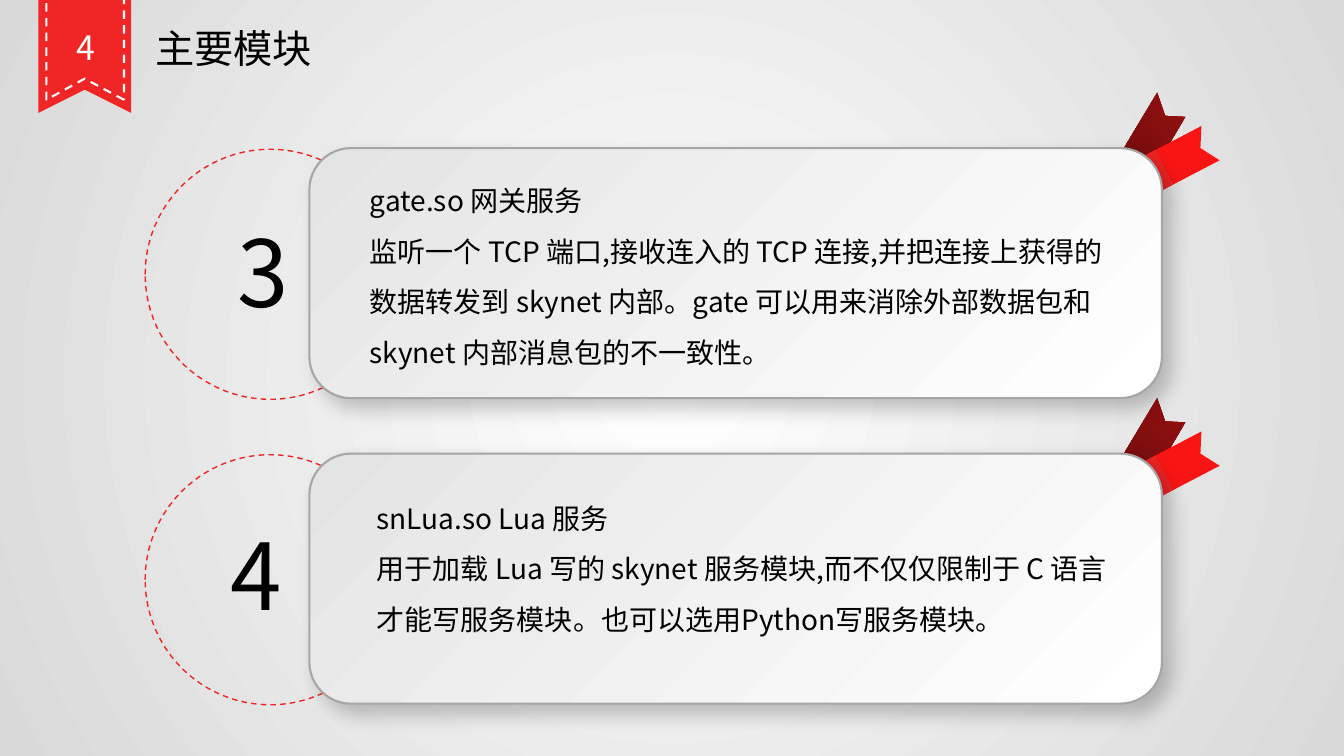
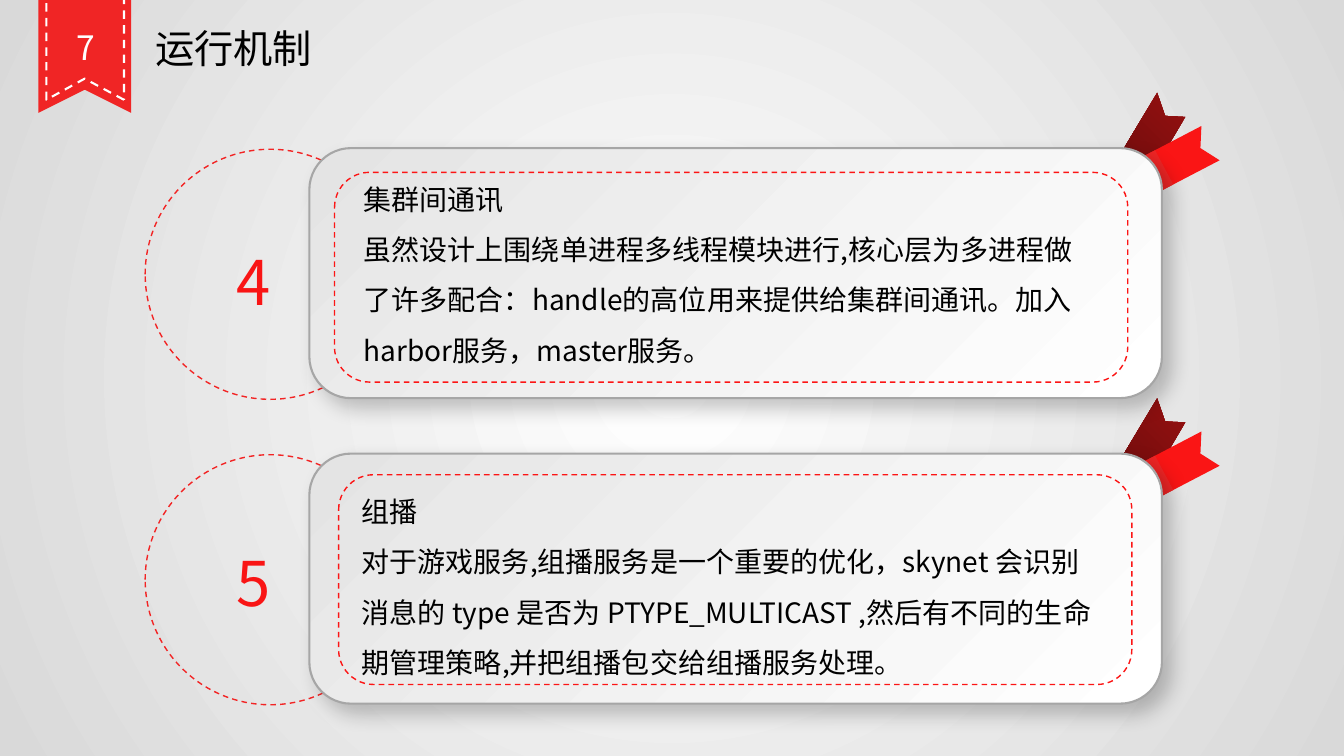
from dataclasses import dataclass

from lxml.etree import SubElement
from pptx import Presentation
from pptx.dml.color import RGBColor
from pptx.enum.dml import MSO_LINE
from pptx.enum.shapes import MSO_SHAPE
from pptx.enum.text import MSO_AUTO_SIZE, PP_ALIGN
from pptx.oxml import parse_xml
from pptx.oxml.ns import nsdecls, qn
from pptx.util import Pt


@dataclass(frozen=True)
class Theme:
    black: str = "000000"
    white: str = "FFFFFF"
    ribbon: str = "F02525"
    ribbon_front: str = "FA1515"
    ring: str = "F22424"
    frame: str = "FC1515"
    accent: str = "F91515"
    card_edge: str = "A6A6A6"
    page_stops: tuple = ((0, "FFFFFF"), (100, "D9D9D9"))
    card_stops: tuple = ((0, "E4E4E4"), (100, "FFFFFF"))
    ribbon_back_stops: tuple = ((0, "590A0A"), (50, "7E0E0E"), (100, "961010"))
    font: str = "Noto Sans CJK SC"
    display_font: str = "Noto Sans CJK JP"
    badge_size: int = 24
    title_size: int = 28
    body_size: int = 20


theme = Theme()

# Geometry shared by the cards, in points
ROW_PITCH = 218.2
CARD = (221, 105.8, 609, 178.6)
RING = (103.7, 106.6, 178.6, 178.6)
FRAME_SIZE = (566.6, 149.8)
BODY_WIDTH = 540.7

BOOKMARK = [(93.6, 80.6), (60.5, 64.1), (27.4, 80.6), (27.4, -171.4), (93.6, -171.4)]
STITCHING = [(88.6, 71.3), (60.5, 56.2), (33.1, 71.3), (33.1, -164.2), (88.6, -164.2)]
RIBBON_BACK = [(826.6, 66.2), (806.4, 100), (792, 124.6), (805, 149),
               (826.6, 117.4), (846.7, 83.5), (832.3, 82.8)]
RIBBON_FRONT = [(871.2, 114.5), (805, 149), (792, 124.6), (858.2, 90), (857.5, 105.8)]
RIBBON_FOLD = [(838.1, 131.8), (805, 149), (792, 124.6), (825.1, 107.3)]

CORNER_SHADE = (f'<a:path {nsdecls("a")} path="circle">'
                '<a:fillToRect t="100000" r="100000"/></a:path>')
CENTER_SHADE = (f'<a:path {nsdecls("a")} path="circle">'
                '<a:fillToRect l="50000" t="50000" r="50000" b="50000"/></a:path>')
DIAGONAL_SHADE = f'<a:lin {nsdecls("a")} ang="2700000" scaled="0"/>'
CARD_SHADOW = (f'<a:outerShdw {nsdecls("a")} blurRad="{Pt(14)}" dist="{Pt(9)}" '
               'dir="2700000" algn="tl" rotWithShape="0"><a:srgbClr val="000000">'
               '<a:alpha val="22000"/></a:srgbClr></a:outerShdw>')

SLIDES = [
    dict(badge="4", title="主要模块", number_size=66, number_color=theme.black, cards=[
        dict(number="3", number_box=(162.7, 149.8, 47.5, 86.4), body_at=(257, 115.9),
             text=["gate.so 网关服务",
                   "监听一个 TCP 端口,接收连入的 TCP 连接,并把连接上获得的数据转发到 skynet 内部。"
                   "gate 可以用来消除外部数据包和 skynet 内部消息包的不一致性。"]),
        dict(number="4", number_box=(157.7, 366.5, 51.1, 86.4), body_at=(262, 342.7),
             text=["snLua.so Lua 服务",
                   "用于加载 Lua 写的 skynet 服务模块,而不仅仅限制于 C 语言才能写服务模块。"
                   "也可以选用Python写服务模块。"]),
    ]),
    dict(badge="7", title="运行机制", number_size=44, number_color=theme.accent, cards=[
        dict(number="4", number_box=(162, 170.6, 42.5, 59.8), body_at=(252.7, 114.5),
             frame_at=(239, 123.1),
             text=["集群间通讯",
                   "虽然设计上围绕单进程多线程模块进行,核心层为多进程做了许多配合："
                   "handle的高位用来提供给集群间通讯。加入harbor服务，master服务。"]),
        dict(number="5", number_box=(162, 385.9, 42.5, 59.8), body_at=(251.3, 337.7),
             frame_at=(241.9, 339.1),
             text=["组播",
                   "对于游戏服务,组播服务是一个重要的优化，skynet 会识别消息的 type 是否为 "
                   "PTYPE_MULTICAST ,然后有不同的生命期管理策略,并把组播包交给组播服务处理。"]),
    ]),
]


def paint(shape, fill=None, shade=None, line=None, width=1, dashed=True):
    """Fill with a colour or, when a shade is given, with gradient stops."""
    if shade:
        shape.fill.gradient()
        gradient = shape.element.find(".//" + qn("a:gradFill")) if hasattr(shape, "element") \
            else deck.slide_master.element.find(".//" + qn("a:gradFill"))
        for child in list(gradient):
            gradient.remove(child)
        stops = SubElement(gradient, qn("a:gsLst"))
        for position, color in fill:
            stop = SubElement(stops, qn("a:gs"), pos=str(position * 1000))
            SubElement(stop, qn("a:srgbClr"), val=color)
        gradient.append(parse_xml(shade))
    elif fill:
        shape.fill.solid()
        shape.fill.fore_color.rgb = RGBColor.from_string(fill)
    else:
        shape.fill.background()
    if hasattr(shape, "shadow"):
        shape.shadow.inherit = False
        if line:
            shape.line.color.rgb = RGBColor.from_string(line)
            shape.line.width = Pt(width)
            if dashed:
                shape.line.dash_style = MSO_LINE.DASH
        else:
            shape.line.fill.background()


def add_text(slide, bounds, lines, size, color, font, align=PP_ALIGN.LEFT, spacing=1.0):
    box = slide.shapes.add_textbox(*map(Pt, bounds))
    frame = box.text_frame
    frame.word_wrap = True
    frame.auto_size = MSO_AUTO_SIZE.SHAPE_TO_FIT_TEXT
    frame.text = "\n".join(lines)
    for para in frame.paragraphs:
        para.alignment = align
        para.line_spacing = spacing
        for span in para.runs:
            span.font.size = Pt(size)
            span.font.color.rgb = RGBColor.from_string(color)
            span.font.name = font
            SubElement(span.font._element, qn("a:ea"), typeface=font)


deck = Presentation()
deck.slide_width, deck.slide_height = Pt(960), Pt(540)
paint(deck.slide_master.background, theme.page_stops, CENTER_SHADE)

for content in SLIDES:
    slide = deck.slides.add_slide(deck.slide_layouts[6])

    # Outlines: the bookmark, then one corner ribbon per card
    outlines = [(BOOKMARK, 0, dict(fill=theme.ribbon)),
                (STITCHING, 0, dict(line=theme.white, width=1.5))]
    for row in range(len(content["cards"])):
        shift = row * ROW_PITCH
        outlines += [
            (RIBBON_BACK, shift, dict(fill=theme.ribbon_back_stops, shade=CORNER_SHADE)),
            (RIBBON_FRONT, shift, dict(fill=theme.ribbon_front)),
            (RIBBON_FOLD, shift, dict(fill=theme.ribbon)),
        ]
    for points, shift, look in outlines:
        corners = [(Pt(x), Pt(y + shift)) for x, y in points]
        builder = slide.shapes.build_freeform(*corners[0])
        builder.add_line_segments(corners[1:], close=True)
        paint(builder.convert_to_shape(), **look)

    # Section number and title
    add_text(slide, (38.2, 15.8, 46.8, 38.2), [content["badge"]], theme.badge_size,
             theme.white, theme.font, PP_ALIGN.CENTER)
    add_text(slide, (103.7, 13.7, 178.6, 41), [content["title"]], theme.title_size,
             theme.black, theme.display_font)

    # Cards with ring, number, optional frame and body
    for row, card in enumerate(content["cards"]):
        parts = [
            (MSO_SHAPE.OVAL, RING, row * ROW_PITCH, dict(line=theme.ring)),
            (MSO_SHAPE.ROUNDED_RECTANGLE, CARD, row * ROW_PITCH,
             dict(fill=theme.card_stops, shade=DIAGONAL_SHADE,
                  line=theme.card_edge, width=1.5, dashed=False)),
        ]
        if "frame_at" in card:
            parts.append((MSO_SHAPE.ROUNDED_RECTANGLE, card["frame_at"] + FRAME_SIZE, 0,
                          dict(line=theme.frame)))
        for kind, (left, top, width, height), shift, look in parts:
            shape = slide.shapes.add_shape(kind, Pt(left), Pt(top + shift), Pt(width), Pt(height))
            paint(shape, **look)
            if "shade" in look:
                shape.element.spPr.find(qn("a:effectLst")).append(parse_xml(CARD_SHADOW))
        add_text(slide, card["number_box"], [card["number"]], content["number_size"],
                 content["number_color"], theme.display_font)
        add_text(slide, card["body_at"] + (BODY_WIDTH, 151.2), card["text"], theme.body_size,
                 theme.black, theme.font, spacing=1.5)

deck.save("out.pptx")
